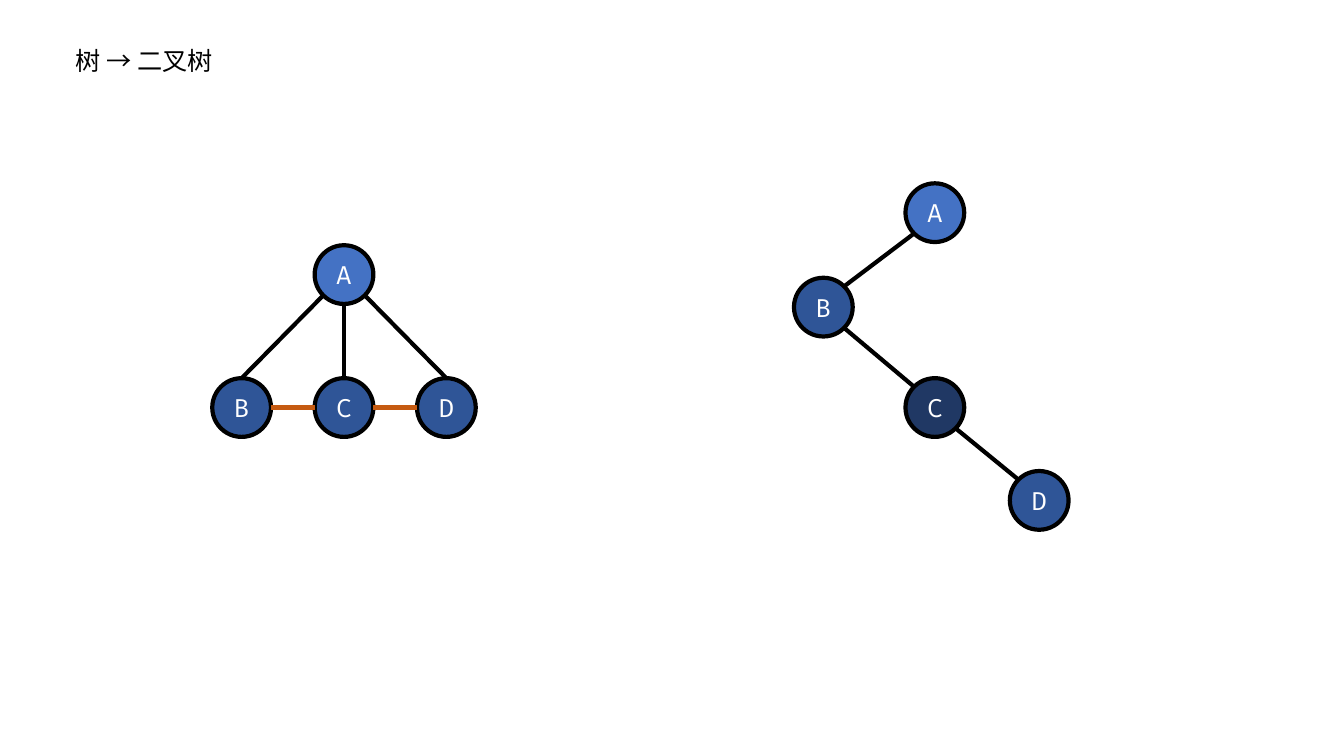
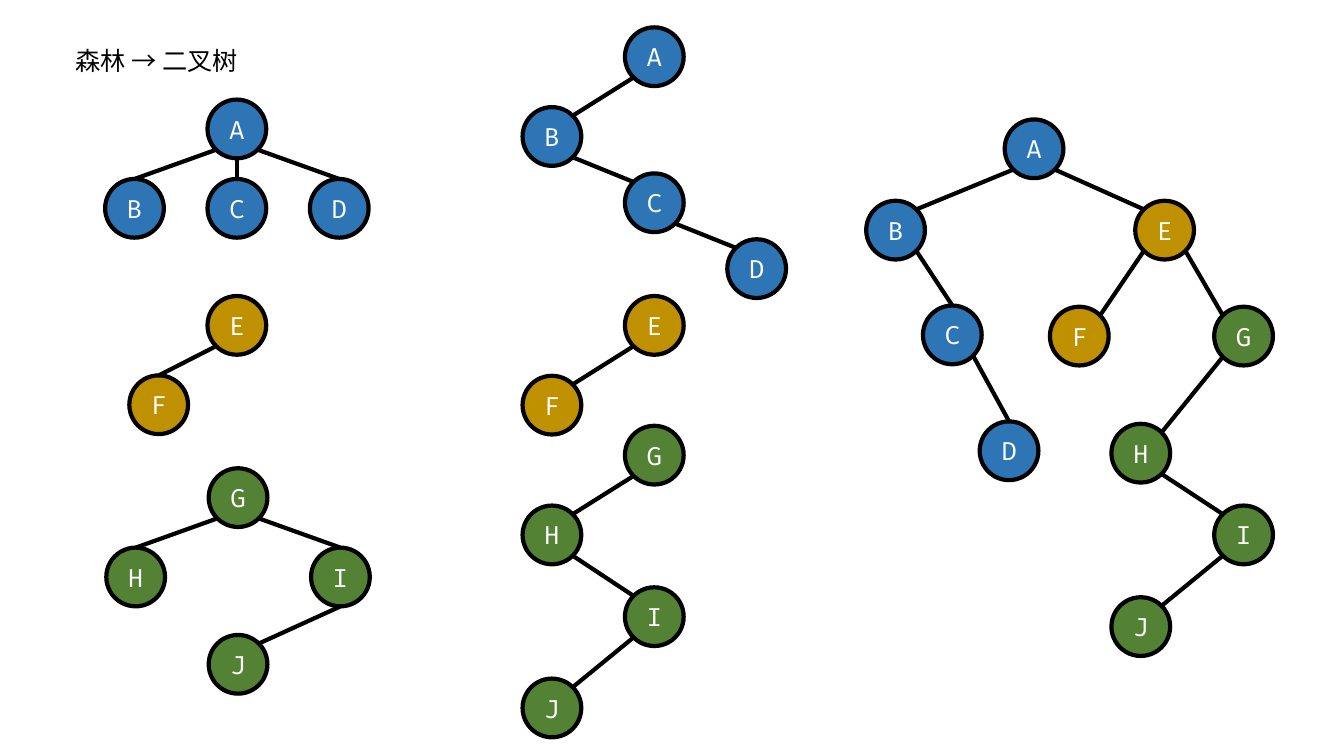
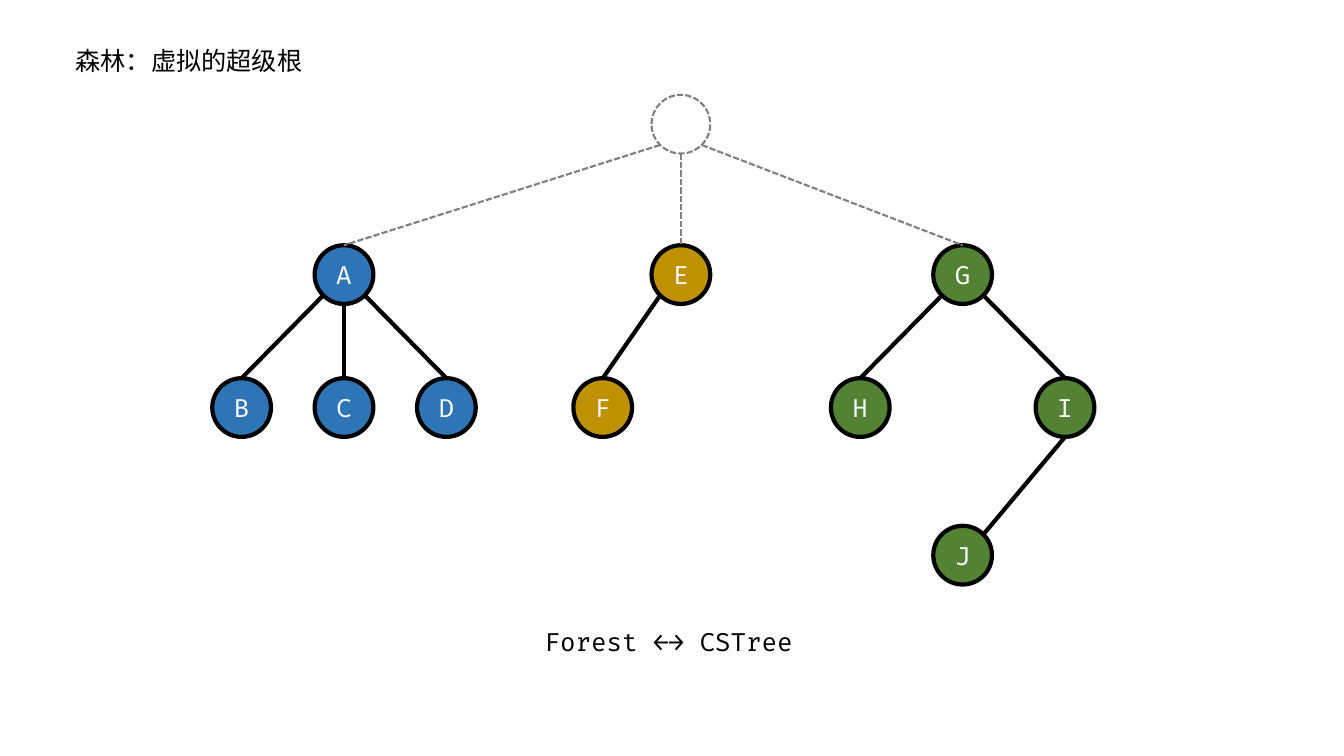
from dataclasses import dataclass
from math import cos, radians, sin

from lxml.etree import SubElement
from pptx import Presentation
from pptx.dml.color import RGBColor
from pptx.enum.dml import MSO_LINE_DASH_STYLE as Dash
from pptx.enum.shapes import MSO_CONNECTOR as Connector, MSO_SHAPE as Shape
from pptx.enum.text import MSO_ANCHOR as Anchor, MSO_AUTO_SIZE as AutoSize, PP_ALIGN as Align
from pptx.oxml.ns import qn
from pptx.util import Cm, Pt


@dataclass(frozen=True)
class Theme:
    black: str = "000000"
    white: str = "FFFFFF"
    root: str = "4472C4"
    child: str = "2F5597"
    dark: str = "203864"
    sibling: str = "C55A11"
    blue: str = "2E75B6"
    gold: str = "BF9000"
    green: str = "548235"
    virtual: str = "808080"
    title_font: str = "Noto Sans CJK SC"
    code_font: str = "Fira Code"
    text_size: int = 18
    edge_width: float = 3
    virtual_width: float = 1.5
    diameter: float = 1.48
    sibling_step: float = 2.58
    single_child_step: float = 1.97


THEME = Theme()
TREE_COLORS = {"A": THEME.root, "B": THEME.child, "C": THEME.child, "D": THEME.child}
FOREST_COLORS = {
    **dict.fromkeys("ABCD", THEME.blue),
    **dict.fromkeys("EF", THEME.gold),
    **dict.fromkeys("GHIJ", THEME.green),
}
# Each edge reads: parent, its site, child, its site.
TREE_EDGES = "A3B0 A4C0 A5D0"
FOREST_EDGES = TREE_EDGES + " E3F0 G3H0 G5I0 I4J7"
BINARY_TREE_EDGES = "A3B7 B5C1 C5D1"
BINARY_REST_EDGES = "E3F7 G3H7 H5I1 I3J7"


def apply(target, values):
    for name, value in values.items():
        setattr(target, name, value)


def write(frame, text, font_name, color, align):
    paragraph = frame.paragraphs[0]
    paragraph.alignment = align
    run = paragraph.add_run()
    run.text = text
    apply(run.font, {"name": font_name, "size": Pt(THEME.text_size), "bold": False})
    run.font.color.rgb = RGBColor.from_string(color)
    SubElement(run.font._element, qn("a:ea"), typeface=font_name)


def stroke(line, color, width, dash=None):
    line.color.rgb = RGBColor.from_string(color)
    line.width = Pt(width)
    if dash:
        line.dash_style = dash


def place(shape, left, top, width, height):
    apply(shape, {"left": Cm(left), "top": Cm(top), "width": Cm(width), "height": Cm(height)})


def add_slide(deck, title, width):
    slide = deck.slides.add_slide(deck.slide_layouts[5])
    heading = slide.shapes.title
    place(heading, 1.65, 1.02, width, 1.02)
    apply(heading.text_frame, {
        "word_wrap": True,
        "vertical_anchor": Anchor.TOP,
        "auto_size": AutoSize.SHAPE_TO_FIT_TEXT,
    })
    write(heading.text_frame, title, THEME.title_font, THEME.black, Align.LEFT)
    return slide


def add_circle(slide, left, top):
    size = Cm(THEME.diameter)
    circle = slide.shapes.add_shape(Shape.OVAL, Cm(left), Cm(top), size, size)
    circle.shadow.inherit = False
    return circle


def add_node(slide, label, position, color):
    node = add_circle(slide, *position)
    node.fill.solid()
    node.fill.fore_color.rgb = RGBColor.from_string(color)
    stroke(node.line, THEME.black, THEME.edge_width)
    apply(node.text_frame, {"word_wrap": False, "vertical_anchor": Anchor.MIDDLE})
    write(node.text_frame, label, THEME.code_font, THEME.white, Align.CENTER)
    return node


def add_virtual_root(slide, position):
    root = add_circle(slide, *position)
    root.fill.background()
    stroke(root.line, THEME.virtual, THEME.virtual_width, Dash.SQUARE_DOT)
    return root


def site_point(node, site):
    angle = radians(90 + 45 * site)
    radius = node.width / 2
    return (round(node.left + radius * (1 + cos(angle))),
            round(node.top + radius * (1 - sin(angle))))


def add_edges(slide, nodes, edges, color=THEME.black, width=THEME.edge_width, dash=None):
    for parent, parent_site, child, child_site in edges.split():
        ends = (("a:stCxn", nodes[parent], int(parent_site)),
                ("a:endCxn", nodes[child], int(child_site)))
        points = [site_point(node, site) for _, node, site in ends]
        edge = slide.shapes.add_connector(Connector.STRAIGHT, *points[0], *points[1])
        stroke(edge.line, color, width, dash)
        SubElement(edge.element.spPr, qn("a:effectLst"))
        joints = edge.element.nvCxnSpPr.cNvCxnSpPr
        for tag, node, site in ends:
            SubElement(joints, qn(tag), id=str(node.shape_id), idx=str(site))


def add_graph(slide, positions, colors, edges):
    nodes = {label: add_node(slide, label, position, colors[label])
             for label, position in positions.items()}
    add_edges(slide, nodes, edges)
    return nodes


def tree_layout(root, drop):
    x, y = root
    step = THEME.sibling_step
    return {"A": root, "B": (x - step, y + drop), "C": (x, y + drop), "D": (x + step, y + drop)}


def forest_layout(a, e, g, drop, grandchild_drop):
    step = THEME.sibling_step
    return {
        **tree_layout(a, drop),
        "E": e,
        "F": (e[0] - THEME.single_child_step, e[1] + drop),
        "G": g,
        "H": (g[0] - step, g[1] + drop),
        "I": (g[0] + step, g[1] + drop),
        "J": (g[0], g[1] + drop + grandchild_drop),
    }


def build_tree_slide(deck):
    slide = add_slide(deck, "树 → 二叉树", 9.6)
    tree = add_graph(slide, tree_layout((7.93, 6.18), 3.35), TREE_COLORS, TREE_EDGES)
    add_edges(slide, tree, "B6C2 C6D2", THEME.sibling)
    binary = {"A": (22.82, 4.62), "B": (20.01, 7.0), "C": (22.82, 9.53), "D": (25.45, 11.87)}
    add_graph(slide, binary, {**TREE_COLORS, "C": THEME.dark}, BINARY_TREE_EDGES)


def build_forest_slide(deck):
    slide = add_slide(deck, "森林 → 二叉树", 4.8)
    forest = forest_layout((5.23, 2.51), (5.23, 7.46), (5.26, 11.8), 2.0, 2.2)
    add_graph(slide, forest, FOREST_COLORS, FOREST_EDGES)

    left, middle, right = (13.17 + THEME.sibling_step * column for column in range(3))
    separate = {
        "A": (middle, 0.69), "B": (left, 2.7), "C": (middle, 4.37), "D": (right, 6.03),
        "E": (middle, 7.46), "F": (left, 9.47),
        "G": (middle, 10.73), "H": (left, 12.74), "I": (middle, 14.8), "J": (left, 17.1),
    }
    add_graph(slide, separate, FOREST_COLORS, f"{BINARY_TREE_EDGES} {BINARY_REST_EDGES}")

    merged = {
        "A": (25.32, 3.01), "B": (21.83, 5.06), "C": (23.26, 7.7), "D": (24.69, 10.62),
        "E": (28.61, 5.06), "F": (26.46, 7.73), "G": (30.6, 7.73),
        "H": (28.01, 10.68), "I": (30.6, 12.74), "J": (28.01, 15.05),
    }
    add_graph(slide, merged, FOREST_COLORS,
              f"A3B7 B5C0 C5D0 A5E1 E5G1 {BINARY_REST_EDGES}")


def build_virtual_root_slide(deck):
    slide = add_slide(deck, "森林：虚拟的超级根", 7.0)
    forest = forest_layout((7.93, 6.18), (16.42, 6.18), (23.52, 6.18), 3.35, 3.72)
    nodes = add_graph(slide, forest, FOREST_COLORS, FOREST_EDGES)
    nodes["R"] = add_virtual_root(slide, (16.42, 2.39))
    add_edges(slide, nodes, "R3A0 R4E0 R5G0", THEME.virtual, THEME.virtual_width,
              Dash.SQUARE_DOT)
    caption = slide.shapes.add_textbox(Cm(13.03), Cm(15.67), Cm(7.65), Cm(1.02))
    apply(caption.text_frame, {"word_wrap": True, "auto_size": AutoSize.SHAPE_TO_FIT_TEXT})
    write(caption.text_frame, "Forest ←→ CSTree", THEME.code_font, THEME.black, Align.CENTER)


def main():
    deck = Presentation()
    apply(deck, {"slide_width": Cm(33.87), "slide_height": Cm(19.05)})
    for build in (build_tree_slide, build_forest_slide, build_virtual_root_slide):
        build(deck)
    deck.save("out.pptx")


if __name__ == "__main__":
    main()
